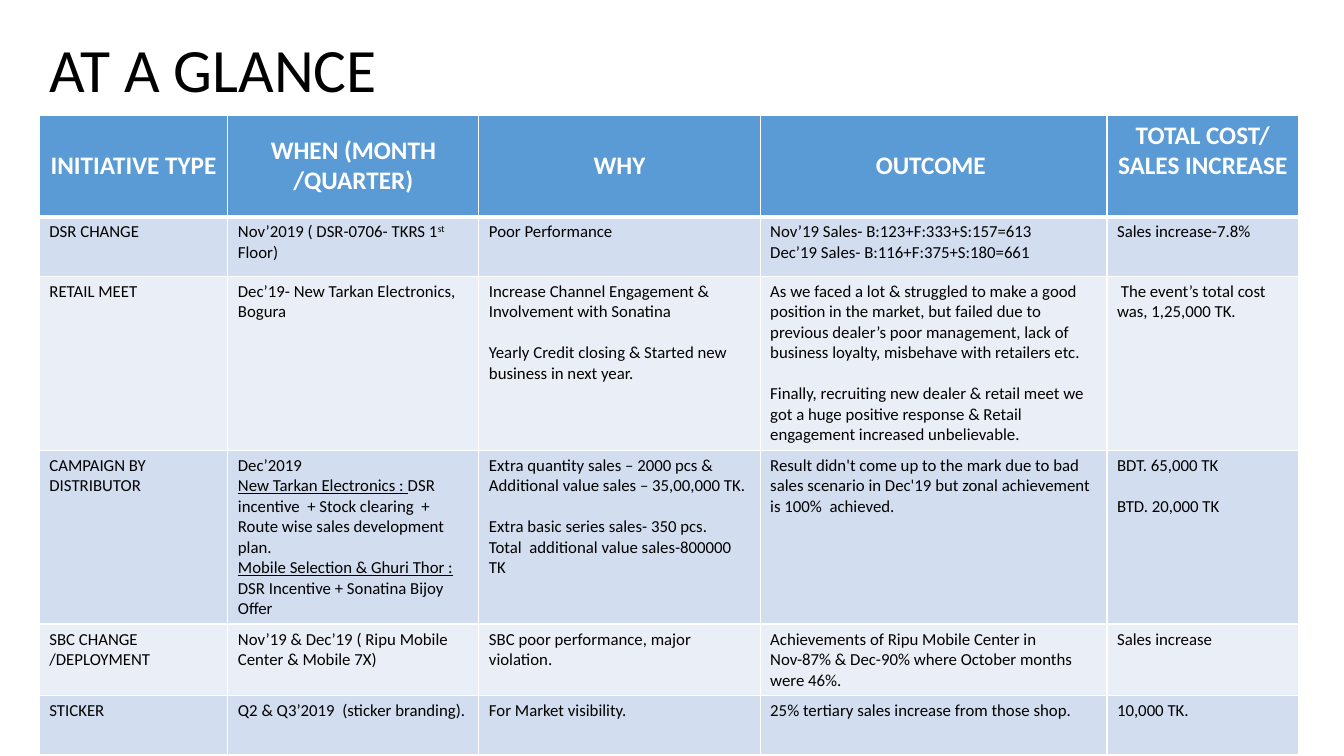
from dataclasses import dataclass

from lxml.etree import SubElement
from pptx import Presentation
from pptx.dml.color import RGBColor
from pptx.enum.text import MSO_ANCHOR as Anchor, MSO_AUTO_SIZE as AutoSize, PP_ALIGN as Align
from pptx.oxml.ns import qn
from pptx.slide import Slide
from pptx.table import Table, _Cell as Cell
from pptx.util import Inches, Length, Pt

WHITE = RGBColor(0xFF, 0xFF, 0xFF)
BLACK = RGBColor(0x00, 0x00, 0x00)
HEADER_BLUE = RGBColor(0x5B, 0x9B, 0xD5)
BANDS = (RGBColor(0xD2, 0xDE, 0xEF), RGBColor(0xEA, 0xEF, 0xF7))
FONT = "Calibri"
THIN, THICK = Pt(1), Pt(3)
COLUMN_WIDTHS = (18.7, 24.9, 27.9, 34.4, 19)
ROW_HEIGHTS = (10, 5.9, 11.4, 5.9, 4.2, 5.9)


@dataclass(frozen=True)
class Span:
    text: str
    underline: bool = False
    superscript: bool = False


@dataclass(frozen=True)
class Line:
    spans: tuple[Span, ...]
    gap_above: bool = False


@dataclass(frozen=True)
class CellStyle:
    fill: RGBColor
    color: RGBColor
    size: int
    bold: bool
    align: Align
    anchor: Anchor
    top: Length
    bottom: Length


def grid(units: float) -> Length:
    return Inches(units / 10)


def line(text: str, gap_above: bool = False) -> Line:
    return Line((Span(text),), gap_above)


def offer(dealer: str, terms: str) -> Line:
    return Line((Span(dealer, underline=True), Span(terms)))


HEADERS = (
    "INITIATIVE TYPE",
    "WHEN (MONTH /QUARTER)",
    "WHY",
    "OUTCOME ",
    (line("TOTAL COST/"), line("SALES INCREASE")),
)
INITIATIVES = (
    (
        "DSR CHANGE",
        (Line((Span("Nov’2019 ( DSR-0706- TKRS 1"), Span("st", superscript=True), Span(" Floor)"))),),
        "Poor Performance",
        (line("Nov’19 Sales- B:123+F:333+S:157=613"), line("Dec’19 Sales- B:116+F:375+S:180=661")),
        "Sales increase-7.8%",
    ),
    (
        "RETAIL MEET",
        "Dec’19- New Tarkan Electronics, Bogura",
        (
            line("Increase Channel Engagement & Involvement with Sonatina"),
            line("Yearly Credit closing & Started new business in next year.", True),
        ),
        (
            line("As we faced a lot & struggled to make a good position in the market, but failed due to "
                 "previous dealer’s poor management, lack of business loyalty, misbehave with retailers etc."),
            line("Finally, recruiting new dealer & retail meet we got a huge positive response & Retail "
                 "engagement increased unbelievable.", True),
        ),
        " The event’s total cost was, 1,25,000 TK.",
    ),
    (
        "CAMPAIGN BY DISTRIBUTOR",
        (
            line("Dec’2019"),
            offer("New Tarkan Electronics : ",
                  "DSR incentive  + Stock clearing  +  Route wise sales development plan."),
            offer("Mobile Selection & Ghuri Thor : ", "DSR Incentive + Sonatina Bijoy Offer"),
        ),
        (
            line("Extra quantity sales – 2000 pcs &  Additional value sales – 35,00,000 TK."),
            line("Extra basic series sales- 350 pcs.", True),
            line("Total  additional value sales-800000 TK"),
        ),
        "Result didn't come up to the mark due to bad sales scenario in Dec'19 but zonal "
        "achievement is 100%  achieved.",
        (line("BDT. 65,000 TK"), line("BTD. 20,000 TK", True)),
    ),
    (
        "SBC CHANGE /DEPLOYMENT",
        "Nov’19 & Dec’19 ( Ripu Mobile Center & Mobile 7X)",
        "SBC poor performance, major violation.",
        "Achievements of Ripu Mobile Center in Nov-87% & Dec-90% where October months were 46%.",
        "Sales increase",
    ),
    (
        "STICKER",
        "Q2 & Q3’2019  (sticker branding).",
        "For Market visibility.",
        "25% tertiary sales increase from those shop.",
        "10,000 TK.",
    ),
)


def add_border(cell: Cell, side: str, width: Length) -> None:
    edge = SubElement(cell._tc.get_or_add_tcPr(), qn(f"a:ln{side}"), w=str(width))
    SubElement(SubElement(edge, qn("a:solidFill")), qn("a:srgbClr"), val=str(WHITE))


def write_cell(cell: Cell, content: str | tuple[Line, ...], style: CellStyle) -> None:
    for side, width in (("L", THIN), ("R", THIN), ("T", style.top), ("B", style.bottom)):
        add_border(cell, side, width)
    cell.fill.solid()
    cell.fill.fore_color.rgb = style.fill
    cell.vertical_anchor = style.anchor
    lines = (line(content),) if isinstance(content, str) else content
    for index, entry in enumerate(lines):
        paragraph = cell.text_frame.paragraphs[0] if index == 0 else cell.text_frame.add_paragraph()
        paragraph.alignment = style.align
        paragraph.font.name = FONT
        paragraph.font.size = Pt(style.size)
        paragraph.font.bold = style.bold
        paragraph.font.color.rgb = style.color
        if entry.gap_above:
            paragraph.space_before = Pt(14.6)
        for span in entry.spans:
            run = paragraph.add_run()
            run.text = span.text
            if span.underline:
                run.font.underline = True
            if span.superscript:
                run._r.get_or_add_rPr().set("baseline", "30000")


def row_style(row: int) -> CellStyle:
    if row == 0:
        return CellStyle(HEADER_BLUE, WHITE, 18, True, Align.CENTER, Anchor.MIDDLE, THIN, THICK)
    return CellStyle(BANDS[(row - 1) % 2], BLACK, 12, False, Align.LEFT, Anchor.TOP,
                     THICK if row == 1 else THIN, THIN)


def add_title(slide: Slide) -> None:
    title = slide.shapes.title
    title.left, title.top, title.width, title.height = grid(3.9), grid(-0.1), grid(115), grid(14.5)
    title.text_frame.text = "AT A GLANCE"
    title.text_frame.auto_size = AutoSize.NONE
    title.text_frame.vertical_anchor = Anchor.MIDDLE
    heading = title.text_frame.paragraphs[0]
    heading.alignment = Align.LEFT
    heading.line_spacing = 0.9
    heading.font.name = FONT
    heading.font.size = Pt(44)
    heading.font.color.rgb = BLACK


def add_initiatives(slide: Slide) -> Table:
    rows = (HEADERS, *INITIATIVES)
    frame = slide.shapes.add_table(len(rows), len(HEADERS), grid(3.9), grid(11.4), grid(124.9), grid(60.2))
    initiatives = frame.table
    for column, width in zip(initiatives.columns, COLUMN_WIDTHS):
        column.width = grid(width)
    for row, (contents, height) in enumerate(zip(rows, ROW_HEIGHTS)):
        initiatives.rows[row].height = grid(height)
        for column, content in enumerate(contents):
            write_cell(initiatives.cell(row, column), content, row_style(row))
    frame.height = grid(60.2)
    return initiatives


def main() -> None:
    deck = Presentation()
    deck.slide_width, deck.slide_height = Inches(13.33), Inches(7.5)
    slide = deck.slides.add_slide(deck.slide_layouts[5])
    add_title(slide)
    initiatives = add_initiatives(slide)
    initiatives.cell(0, len(HEADERS) - 1).margin_bottom = grid(3.5)
    deck.save("out.pptx")


if __name__ == "__main__":
    main()
